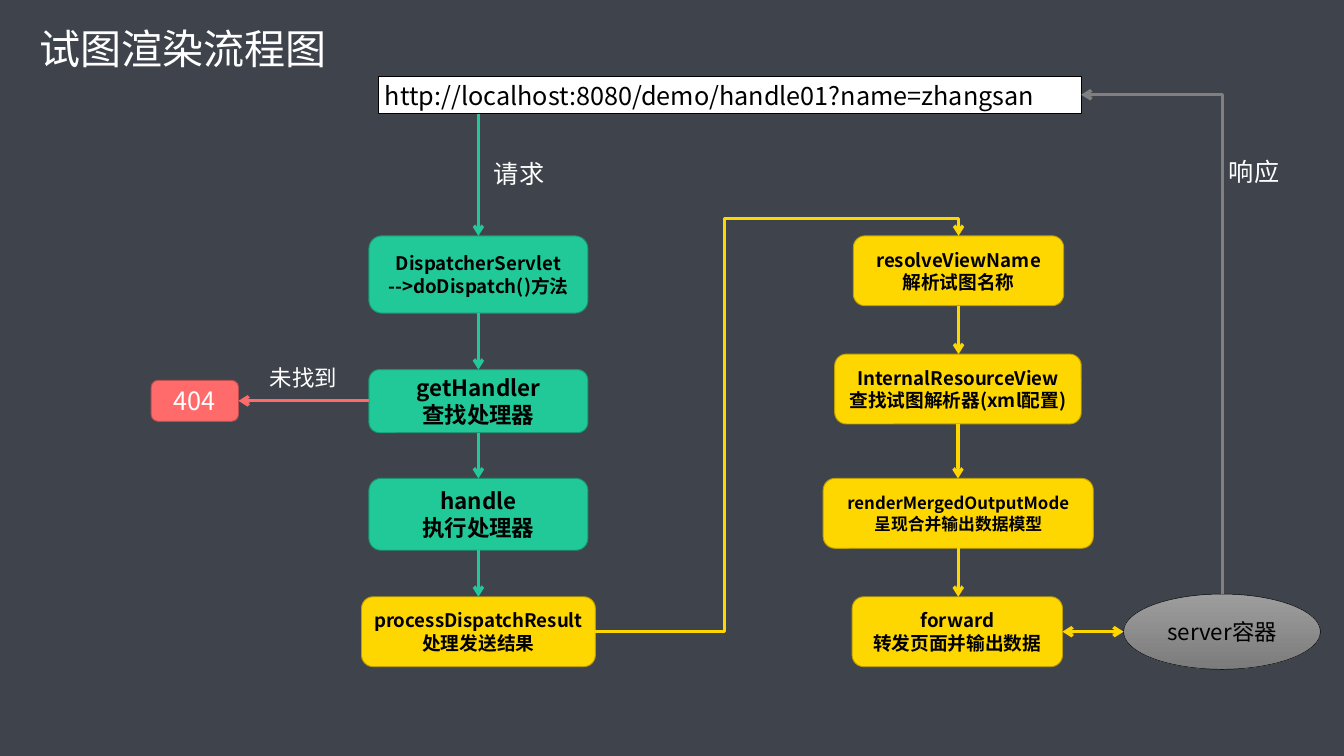
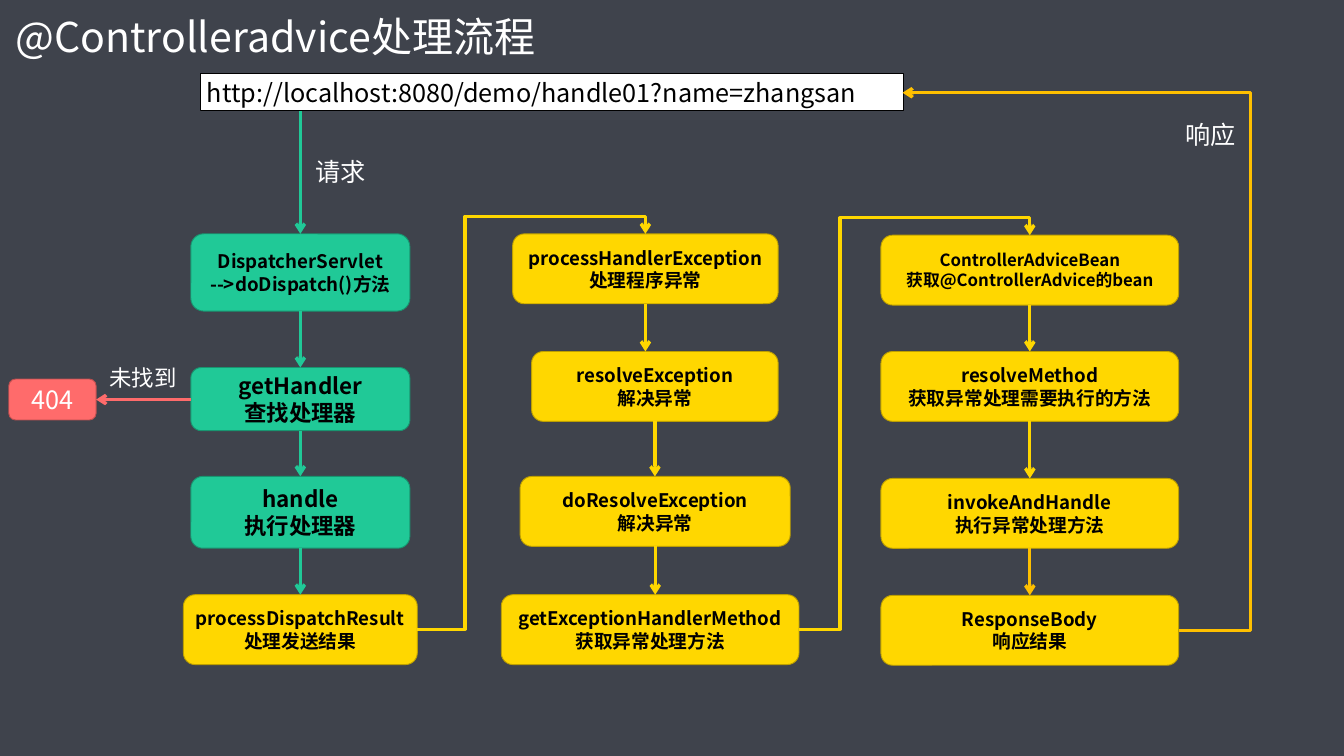
"""Builds two flow charts of how a web request is handled: view rendering and exception advice."""
from itertools import pairwise

from lxml import etree
from pptx import Presentation
from pptx.dml.color import RGBColor
from pptx.enum.shapes import MSO_CONNECTOR, MSO_SHAPE
from pptx.enum.text import MSO_ANCHOR, PP_ALIGN
from pptx.oxml.ns import qn
from pptx.util import Pt

ROUNDED, RECTANGLE, OVAL = MSO_SHAPE.ROUNDED_RECTANGLE, MSO_SHAPE.RECTANGLE, MSO_SHAPE.OVAL
STRAIGHT, ELBOW = MSO_CONNECTOR.STRAIGHT, MSO_CONNECTOR.ELBOW
TOP, MIDDLE = MSO_ANCHOR.TOP, MSO_ANCHOR.MIDDLE
LEFT, CENTER = PP_ALIGN.LEFT, PP_ALIGN.CENTER

FONT = "Noto Sans CJK SC"
URL = "http://localhost:8080/demo/handle01?name=zhangsan"
COLORS = {
    "background": "3F434C", "white": "FFFFFF", "black": "000000",
    "green": "20C997", "green edge": "189570",
    "yellow": "FFD700", "yellow edge": "BD9F00", "amber": "FFC000",
    "red": "FF6B6B", "red edge": "BD4F4F",
    "gray": "808080", "gray light": "9D9D9D", "gray dark": "7C7C7C",
}
RGB = {name: RGBColor.from_string(code) for name, code in COLORS.items()}
STYLES = {
    "green": (ROUNDED, "green", "green edge", 1, "black", True, CENTER, MIDDLE),
    "yellow": (ROUNDED, "yellow", "yellow edge", 1, "black", True, CENTER, MIDDLE),
    "red": (ROUNDED, "red", "red edge", 1, "white", False, CENTER, MIDDLE),
    "container": (OVAL, "gray", "black", 0.5, "black", False, CENTER, MIDDLE),
    "address": (RECTANGLE, "white", "black", 1, "black", False, LEFT, TOP),
    "label": (None, None, None, 0, "white", False, LEFT, TOP),
}
STEP_HEIGHT = 74.9
ELBOW_RISE = 18.7


def add_block(slide, style, left, top, width, height, size, text):
    """Add a styled shape or label with its text."""
    kind, fill, edge, edge_width, ink, bold, align, anchor = STYLES[style]
    frame = Pt(left), Pt(top), Pt(width), Pt(height)
    if kind is None:
        block = slide.shapes.add_textbox(*frame)
    else:
        block = slide.shapes.add_shape(kind, *frame)
        block.shadow.inherit = False
        block.line.color.rgb = RGB[edge]
        block.line.width = Pt(edge_width)
        if style == "container":
            block.fill.gradient()
            block.fill.gradient_angle = 270
            for stop, shade in zip(block.fill.gradient_stops, ("gray light", "gray dark")):
                stop.color.rgb = RGB[shade]
        else:
            block.fill.solid()
            block.fill.fore_color.rgb = RGB[fill]
    body = block.text_frame
    body.word_wrap = True
    body.vertical_anchor = anchor
    body.text = text
    for paragraph in body.paragraphs:
        paragraph.alignment = align
        for run in paragraph.runs:
            run.font.size = Pt(size)
            run.font.bold = bold
            run.font.color.rgb = RGB[ink]
            run.font.name = FONT
            etree.SubElement(run._r.get_or_add_rPr(), qn("a:ea"), typeface=FONT)


def add_arrow(slide, color, start, end, preset=None, bends=(), ends=("tailEnd",)):
    """Add a straight or bent arrow between two points."""
    arrow = slide.shapes.add_connector(
        ELBOW if preset else STRAIGHT, *(Pt(value) for value in (*start, *end)))
    arrow.line.color.rgb = RGB[color]
    arrow.line.width = Pt(3.5)
    properties = arrow._element.spPr
    for tip in ends:
        etree.SubElement(arrow.line._get_or_add_ln(), qn(f"a:{tip}"), type="arrow")
    etree.SubElement(properties, qn("a:effectLst"))
    if preset:
        geometry = properties.find(qn("a:prstGeom"))
        geometry.set("prst", preset)
        guides = geometry.find(qn("a:avLst"))
        if guides is None:
            guides = etree.SubElement(geometry, qn("a:avLst"))
        for number, bend in enumerate(bends, 1):
            name = "adj" if preset == "bentConnector2" else f"adj{number}"
            etree.SubElement(guides, qn("a:gd"), name=name, fmla=f"val {round(bend * 100000)}")


request_steps = [
    ("green", "green", 0, 252.7, 234.7, 82.8, 20, "DispatcherServlet\n-->doDispatch()方法"),
    ("green", "green", 0, 396, 234.7, 67.7, 24, "getHandler\n查找处理器"),
    ("green", "green", 0, 512.6, 234.7, 77, 24, "handle\n执行处理器"),
    ("yellow", "yellow", 0, 639.4, 250.6, STEP_HEIGHT, 20, "processDispatchResult\n处理发送结果"),
]
render_steps = [
    (1027, 252.7, 225.4, 20, "yellow", "resolveViewName\n解析试图名称"),
    (1026.4, 379.4, 264.2, 20, "yellow", "InternalResourceView\n查找试图解析器(xml配置)"),
    (1026.7, 512.6, 289.4, 18, "yellow", "renderMergedOutputMode\n呈现合并输出数据模型"),
    (1025.7, 639.4, 225.4, 20, "yellow", "forward\n转发页面并输出数据"),
]
exception_steps = [
    (691.5, 250.6, 284.4, 20, "yellow", "processHandlerException\n处理程序异常"),
    (701.7, 376.6, 264.2, 20, "yellow", "resolveException\n解决异常"),
    (702, 510.5, 289.4, 20, "yellow", "doResolveException\n解决异常"),
    (696.6, 637.2, 319, 20, "yellow", "getExceptionHandlerMethod\n获取异常处理方法"),
]
advice_steps = [
    (1103.4, 252, 319, 18, "yellow", "ControllerAdviceBean\n获取@ControllerAdvice的bean"),
    (1103.4, 376.6, 319, 20, "yellow", "resolveMethod\n获取异常处理需要执行的方法"),
    (1103.4, 512.6, 319, 20, "amber", "invokeAndHandle\n执行异常处理方法"),
    (1103.4, 637.9, 319, 20, "amber", "ResponseBody\n响应结果"),
]
charts = [
    {"title": ("试图渲染流程图", 35.3, 21.6, 760.3), "axis": 512.6, "shift": 0,
     "address top": 82.1, "missing": (162, 407.5), "missing label": 282.2,
     "response label": (1309.7, 164.2), "columns": [render_steps], "turns": [776.2]},
    {"title": ("@Controlleradvice处理流程", 9.4, 8.6, 578.9), "axis": 321.8, "shift": -2.2,
     "address top": 79.2, "missing": (9.4, 406.1), "missing label": 110.2,
     "response label": (1262.9, 123.8), "columns": [exception_steps, advice_steps],
     "turns": [498.2, 900]},
]

deck = Presentation()
deck.slide_width, deck.slide_height = Pt(1440), Pt(810)
slides = []
for chart in charts:
    slide = deck.slides.add_slide(deck.slide_layouts[6])
    slides.append(slide)
    slide.background.fill.solid()
    slide.background.fill.fore_color.rgb = RGB["background"]
    axis, shift = chart["axis"], chart["shift"]
    title, title_left, title_top, title_width = chart["title"]
    add_block(slide, "label", title_left, title_top, title_width, 60.5, 44, title)

    columns = [[(style, out, axis, top + shift, width, height, size, text)
                for style, out, _, top, width, height, size, text in request_steps]]
    for steps in chart["columns"]:
        columns.append([("yellow", out, middle, top, width, STEP_HEIGHT, size, text)
                        for middle, top, width, size, out, text in steps])
    for steps in columns:
        for style, _, middle, top, width, height, size, text in steps:
            add_block(slide, style, middle - width / 2, top, width, height, size, text)
        for upper, lower in pairwise(steps):
            add_arrow(slide, upper[1], (upper[2], upper[3] + upper[5]), (upper[2], lower[3]))

    for (before, after), turn in zip(pairwise(columns), chart["turns"]):
        _, color, middle, top, width, height, _, _ = before[-1]
        start = middle + width / 2, top + height / 2 - 0.5
        end = after[0][2], after[0][3]
        bends = ((turn - start[0]) / (end[0] - start[0]),
                 1 + ELBOW_RISE / (start[1] - end[1]))
        add_arrow(slide, color, start, end, "bentConnector4", bends)

    address_left, address_top = axis - 107.2, chart["address top"]
    add_arrow(slide, "green", (axis, address_top + 33), (axis, columns[0][0][3]))
    add_block(slide, "address", address_left, address_top, 753.1, 39.6, 27, URL)
    add_block(slide, "label", axis + 9.4, 165.6 + shift, 78.5, 39.6, 27, "请求")

    missing_left, missing_top = chart["missing"]
    add_block(slide, "red", missing_left, missing_top, 93.6, 43.9, 27, "404")
    missing_middle = missing_top + 22
    add_arrow(slide, "red", (axis - 117.35, missing_middle), (missing_left + 93.6, missing_middle))
    add_block(slide, "label", chart["missing label"], 386.6, 86.4, 36, 24, "未找到")
    add_block(slide, "label", *chart["response label"], 78.5, 39.6, 27, "响应")

render_slide, advice_slide = slides
add_block(render_slide, "container", 1203.8, 636.5, 211, 80.6, 24, "server容器")
add_arrow(render_slide, "yellow", (1138.4, 676.8), (1203.8, 676.8), ends=("headEnd", "tailEnd"))
add_arrow(render_slide, "gray", (1158.5, 101.5), (1309.7, 636.5), "bentConnector2", ends=("headEnd",))
add_arrow(advice_slide, "amber", (1262.9, 675.4), (967, 99.4), "bentConnector3", (-0.26,))

deck.save("out.pptx")
